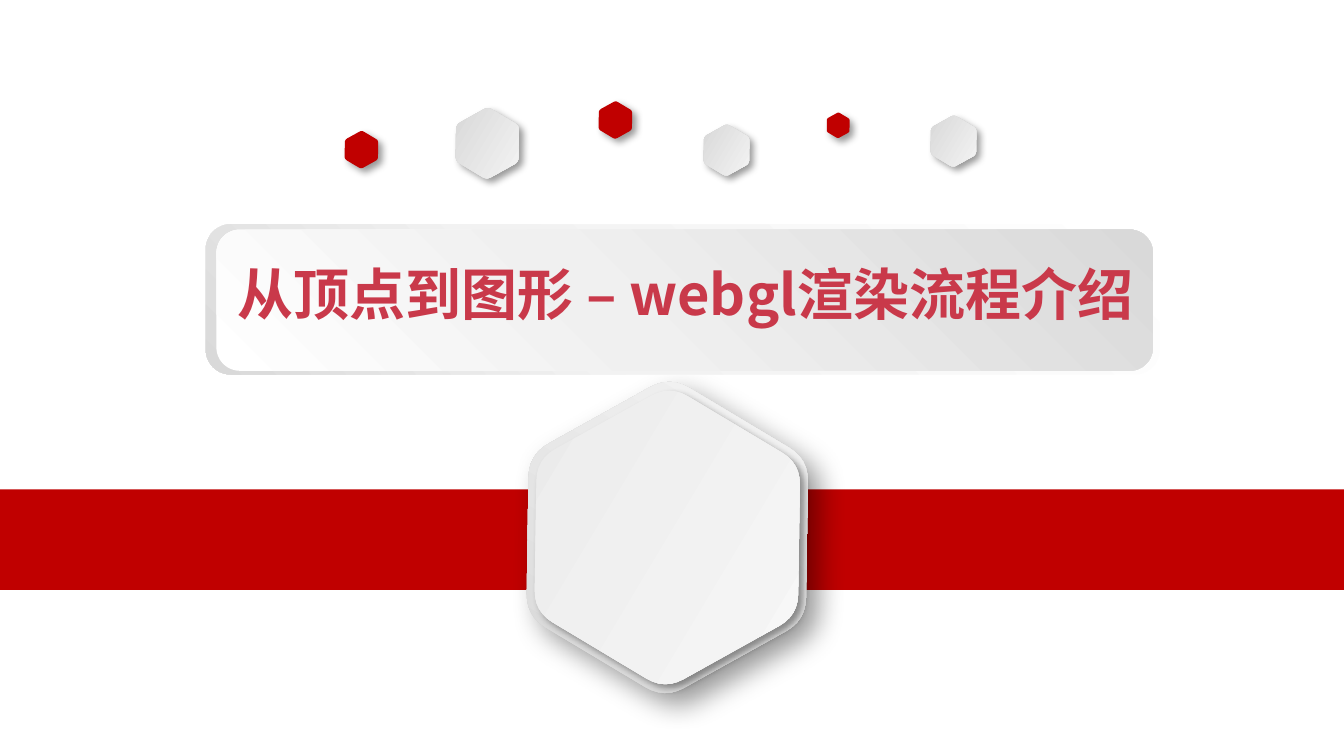
from math import cos, pi, sin, sqrt

from lxml import etree
from pptx import Presentation
from pptx.dml.color import RGBColor
from pptx.enum.shapes import MSO_SHAPE
from pptx.enum.text import PP_ALIGN
from pptx.oxml import parse_xml
from pptx.oxml.ns import nsdecls, qn
from pptx.util import Cm, Pt

RECT, ROUNDED = MSO_SHAPE.RECTANGLE, MSO_SHAPE.ROUNDED_RECTANGLE
CENTER = PP_ALIGN.CENTER
RED = RGBColor(0xC0, 0x00, 0x00)
TITLE_RED = RGBColor(0xC9, 0x39, 0x4A)
WHITE = RGBColor(0xFF, 0xFF, 0xFF)
PALE = RGBColor(0xF9, 0xF9, 0xF9)
MIST = RGBColor(0xF2, 0xF2, 0xF2)
SOFT = RGBColor(0xF0, 0xF0, 0xF0)
LIGHT = RGBColor(0xE9, 0xE9, 0xE9)
GREY = RGBColor(0xD9, 0xD9, 0xD9)
SILVER = RGBColor(0xD3, 0xD3, 0xD3)
FONT = "Noto Sans CJK SC"
TILT = 30.9
CORNER = 0.14  # share of each side taken by a rounded corner


def paint_gradient(s, stops, angle):
    """Fill with (percent, colour) stops; the angle runs clockwise."""
    s.fill.gradient()
    s.fill.gradient_angle = (360 - angle) % 360
    gs_list = s._element.spPr.find(".//" + qn("a:gsLst"))
    for gs in list(gs_list):
        gs_list.remove(gs)
    for percent, color in stops:
        gs = etree.SubElement(gs_list, qn("a:gs"), pos=str(percent * 1000))
        etree.SubElement(gs, qn("a:srgbClr"), val=str(color))


def add_hexagon(cx, cy, height, blur, distance):
    """Add a tilted hexagon with rounded corners and a soft shadow."""
    radius = Cm(height) / sqrt(3)
    corners = [(Cm(cx) + radius * cos(i * pi / 3), Cm(cy) + radius * sin(i * pi / 3))
               for i in range(6)]
    points = []
    for i, (x, y) in enumerate(corners):
        (px, py), (nx, ny) = corners[i - 1], corners[(i + 1) % 6]
        for step in range(7):
            t = step / 6
            before, after = CORNER * (1 - t) ** 2, CORNER * t ** 2
            points.append((x + before * (px - x) + after * (nx - x),
                           y + before * (py - y) + after * (ny - y)))
    builder = slide.shapes.build_freeform(*points[0])
    builder.add_line_segments(points[1:], close=True)
    s = builder.convert_to_shape()
    s.rotation = TILT
    s.line.fill.background()
    s._element.spPr.append(parse_xml(
        f'<a:effectLst {nsdecls("a")}><a:outerShdw blurRad="{Pt(blur)}" '
        f'dist="{Pt(distance)}" dir="2700000" algn="tl" rotWithShape="0">'
        '<a:srgbClr val="000000"><a:alpha val="40000"/></a:srgbClr>'
        '</a:outerShdw></a:effectLst>'))
    return s


prs = Presentation()
prs.slide_width, prs.slide_height = Cm(25.4), Cm(14.29)
slide = prs.slides.add_slide(prs.slide_layouts[6])

# Red band
s = slide.shapes.add_shape(RECT, 0, Cm(9.25), prs.slide_width, Cm(1.9))
s.shadow.inherit = False
s.fill.solid()
s.fill.fore_color.rgb = RED
s.line.fill.background()

# Small hexagons: centre x, centre y, height, red or grey
for cx, cy, height, is_red in [
    (9.21, 2.71, 1.19, False),
    (11.63, 2.27, 0.63, True),
    (6.83, 2.83, 0.63, True),
    (13.73, 2.84, 0.86, False),
    (15.84, 2.37, 0.43, True),
    (18.02, 2.67, 0.86, False),
]:
    s = add_hexagon(cx, cy, height, 4, 3)
    if is_red:
        s.fill.solid()
        s.fill.fore_color.rgb = RED
    else:
        paint_gradient(s, [(0, SILVER), (100, PALE)], 0)

# Large badge: rim, then face
for height, blur, distance, start, angle in [
    (5.28, 15, 9, SILVER, 270),
    (4.98, 4, 3, LIGHT, 0),
]:
    s = add_hexagon(12.61, 10.16, height, blur, distance)
    paint_gradient(s, [(0, start), (100, PALE)], angle)

# Title plate: rim, then face
for x, y, w, h, middle, angle in [
    (3.89, 4.24, 18.03, 2.84, (62, MIST), 135),
    (4.09, 4.34, 17.7, 2.67, (42, SOFT), 315),
]:
    s = slide.shapes.add_shape(ROUNDED, Cm(x), Cm(y), Cm(w), Cm(h))
    s.shadow.inherit = False
    s.line.fill.background()
    paint_gradient(s, [(0, WHITE), middle, (100, GREY)], angle)

# Title
tf = slide.shapes.add_textbox(Cm(3.94), Cm(4.78), Cm(18.03), Cm(1.55)).text_frame
tf.word_wrap = True
p = tf.paragraphs[0]
p.alignment = CENTER
r = p.add_run()
r.text = "从顶点到图形 – webgl渲染流程介绍"
for name, value in {"size": Pt(30), "bold": True, "name": FONT}.items():
    setattr(r.font, name, value)
r.font.color.rgb = TITLE_RED
etree.SubElement(r._r.rPr, qn("a:ea"), typeface=FONT)

prs.save("out.pptx")
